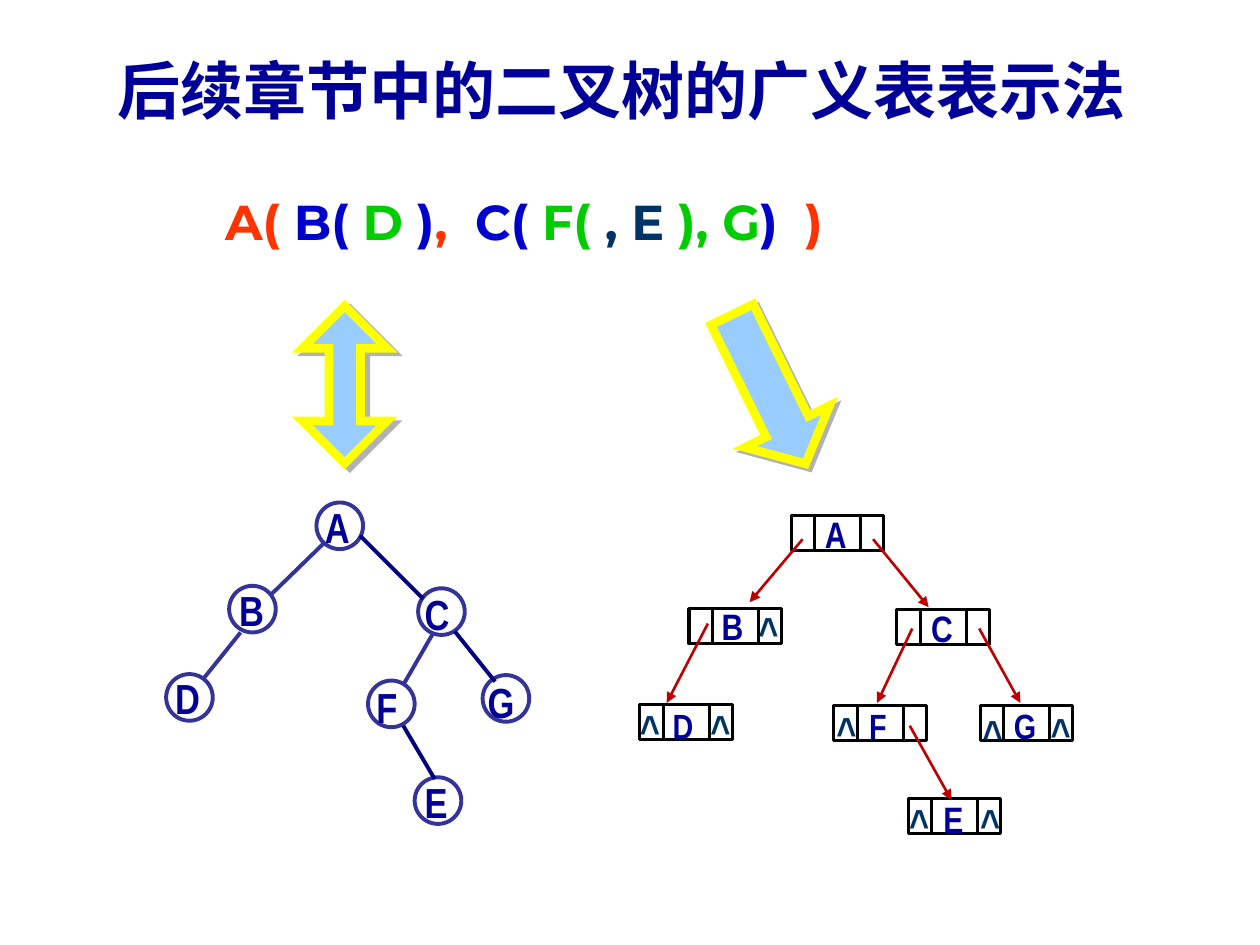
import pptx
import pptx.dml.color
import pptx.enum.shapes
import pptx.enum.text
import pptx.oxml
import pptx.oxml.ns
import pptx.util
from lxml import etree

Cm, Pt = pptx.util.Cm, pptx.util.Pt
RGB = pptx.dml.color.RGBColor
KIND = pptx.enum.shapes.MSO_SHAPE
FIT = pptx.enum.text.MSO_AUTO_SIZE.SHAPE_TO_FIT_TEXT
qn = pptx.oxml.ns.qn

INK, SLATE = RGB(0x00, 0x00, 0x99), RGB(0x00, 0x33, 0x66)
RED, BLUE, GREEN = RGB(0xFF, 0x33, 0x00), RGB(0x00, 0x00, 0xCC), RGB(0x00, 0xCC, 0x00)
RING, NAVY = RGB(0x33, 0x33, 0x99), RGB(0x00, 0x00, 0x80)
BLACK, WINE = RGB(0x00, 0x00, 0x00), RGB(0xC0, 0x00, 0x00)
SKY, YELLOW = RGB(0x99, 0xCC, 0xFF), RGB(0xFF, 0xFF, 0x00)

# All lengths are in centimetres.
TITLE = "后续章节中的二叉树的广义表表示法"
TERMS = [("A( ", RED), ("B( ", BLUE), ("D", GREEN), (" )", BLUE), (",  ", RED),
         ("C( ", BLUE), ("F( ", GREEN), (", E ", SLATE), ("), G", GREEN),
         (")", BLUE), ("  )", RED)]

# letter, circle left and top, label left, top and width
NODES = [("A", 6.38, 10.13, 6.3, 9.98, 1.02), ("B", 4.62, 11.81, 4.57, 11.66, 1.02),
         ("C", 8.43, 11.86, 8.31, 11.73, 1.02), ("D", 3.35, 13.59, 3.28, 13.44, 1.02),
         ("E", 8.36, 15.67, 8.31, 15.52, 0.99), ("F", 7.42, 13.72, 7.34, 13.61, 0.94),
         ("G", 9.73, 13.61, 9.58, 13.51, 1.07)]
EDGES = [(6.53, 10.95, 5.46, 11.99), (4.85, 12.75, 4.11, 13.67),
         (7.26, 10.8, 8.53, 12.07), (9.17, 12.73, 9.98, 13.74),
         (8.74, 12.75, 8.15, 13.77), (8.13, 14.63, 8.76, 15.7)]

# letter, record left and top, label left, top, width and size
CELLS = [("A", 15.95, 10.39, 16.38, 10.19, 0.94, 21), ("B", 13.89, 12.27, 14.3, 12.04, 0.94, 21),
         ("C", 18.08, 12.29, 18.52, 12.09, 0.94, 21), ("D", 12.9, 14.2, 13.31, 14.07, 0.94, 20),
         ("F", 16.81, 14.22, 17.27, 14.07, 0.86, 20), ("G", 19.76, 14.22, 20.19, 14.07, 0.97, 20),
         ("E", 18.31, 16.1, 18.77, 15.93, 0.91, 21)]
LINKS = [(16.18, 10.87, 15.11, 12.14), (14.27, 12.57, 13.44, 14.17),
         (18.39, 12.67, 17.68, 14.17), (17.6, 10.87, 18.72, 12.24),
         (19.74, 12.67, 20.57, 14.17), (18.34, 14.63, 19.18, 16.13)]
NULLS = [(15.04, 12.09), (12.65, 14.05), (14.07, 14.05), (16.61, 14.1),
         (18.08, 15.95), (19.51, 15.95), (19.56, 14.15), (20.93, 14.12)]

# kind, box, head ratio, turn, shadow distance (pt) and angle
ARROWS = [(KIND.UP_DOWN_ARROW, (6.1, 6.17, 1.7, 3.17), 0.375, 0, 3.6, 34),
          (KIND.DOWN_ARROW, (14.55, 6.17, 1.9, 3.35), 0.439, 333.8, 2.8, 45)]

DISC = 0.94
SLOTS = (0.47, 0.93, 0.47)
TALL = 0.71


def write(home, text, box, size=24, font="Arial Narrow", color=INK, wrap=False):
    """Add a text box; text is a string or a list of (string, colour) runs."""
    frame = home.add_textbox(*map(Cm, box)).text_frame
    frame.word_wrap = wrap
    frame.auto_size = FIT
    for part, tint in [(text, color)] if isinstance(text, str) else text:
        run = frame.paragraphs[0].add_run()
        run.text = part
        run.font.size, run.font.name, run.font.bold = Pt(size), font, True
        run.font.color.rgb = tint


def shape(home, kind, box, color, width, fill=None):
    item = home.add_shape(kind, *map(Cm, box))
    item.shadow.inherit = False
    if fill is None:
        item.fill.background()
    else:
        item.fill.solid()
        item.fill.fore_color.rgb = fill
    item.line.color.rgb, item.line.width = color, Pt(width)
    return item


def join(home, ends, color, width, head=False):
    line = home.add_connector(pptx.enum.shapes.MSO_CONNECTOR.STRAIGHT, *map(Cm, ends))
    line.line.color.rgb, line.line.width = color, Pt(width)
    if head:
        etree.SubElement(line.line._get_or_add_ln(), qn("a:tailEnd"), type="triangle")
    etree.SubElement(line._element.spPr, qn("a:effectLst"))


def arrow(home, kind, box, ratio, turn, far, angle):
    """Add a block arrow with sharp corners and a hard grey shadow."""
    item = shape(home, kind, box, YELLOW, 5, SKY)
    item.adjustments[0], item.adjustments[1] = 0.5, ratio
    item.rotation = turn
    etree.SubElement(item.line._get_or_add_ln(), qn("a:miter"), lim="800000")
    shade = etree.SubElement(item._element.spPr.find(qn("a:effectLst")), qn("a:outerShdw"),
                             dist=str(int(Pt(far))), dir=str(angle * 60000),
                             algn="ctr", rotWithShape="0")
    etree.SubElement(shade, qn("a:srgbClr"), val="B2B2B2")


def main():
    deck = pptx.Presentation()
    deck.slide_width, deck.slide_height = Cm(25.4), Cm(19.05)
    page = deck.slides.add_slide(deck.slide_layouts[6]).shapes

    tree = page.add_group_shape().shapes
    for name, left, top, *spot in NODES:
        shape(tree, KIND.OVAL, (left, top, DISC, DISC), RING, 2.25)
        write(tree, name, (*spot, 1.3))
    for ends in EDGES:
        join(tree, ends, NAVY if ends[2] > ends[0] else RING, 2.25)

    write(page, TERMS, (4.29, 3.73, 18.42, 1.45), size=28, font="Montserrat", wrap=True)

    chain = page.add_group_shape().shapes
    for name, left, top, *spot, size in CELLS:
        for i, wide in enumerate(SLOTS):
            box = (left + sum(SLOTS[:i]), top, wide, TALL)
            shape(chain, KIND.RECTANGLE, box, BLACK, 1.75)
        write(chain, name, (*spot, 1.14), size=size)
    for ends in LINKS:
        join(chain, ends, WINE, 1.5, head=True)
    for spot in NULLS:
        write(chain, "^", (*spot, 0.91, 1.3), color=SLATE)

    for item in ARROWS:
        arrow(page, *item)
    write(page, TITLE, (2.11, 0.91, 21, 1.8), size=36, wrap=True)
    deck.save("out.pptx")


if __name__ == "__main__":
    main()
